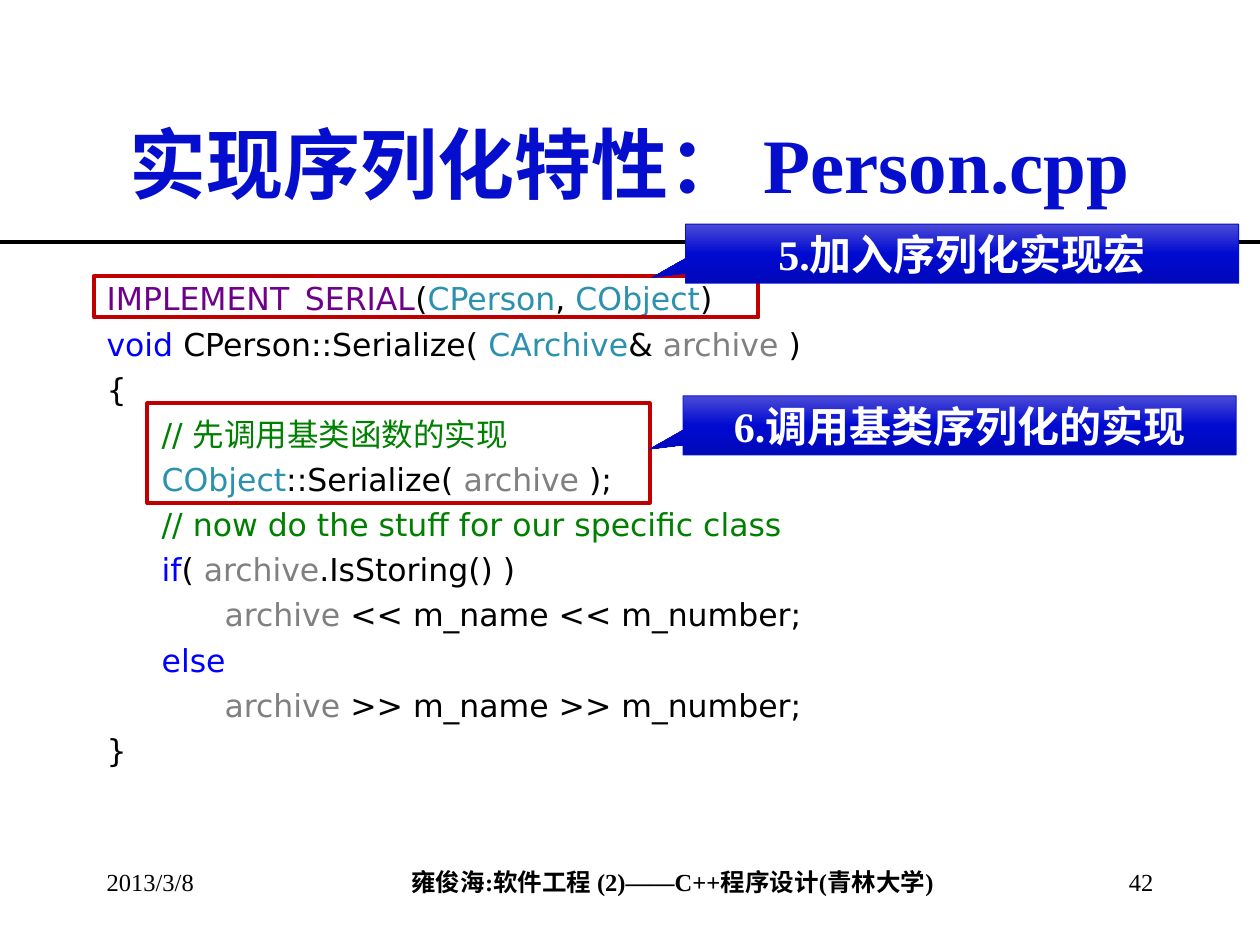
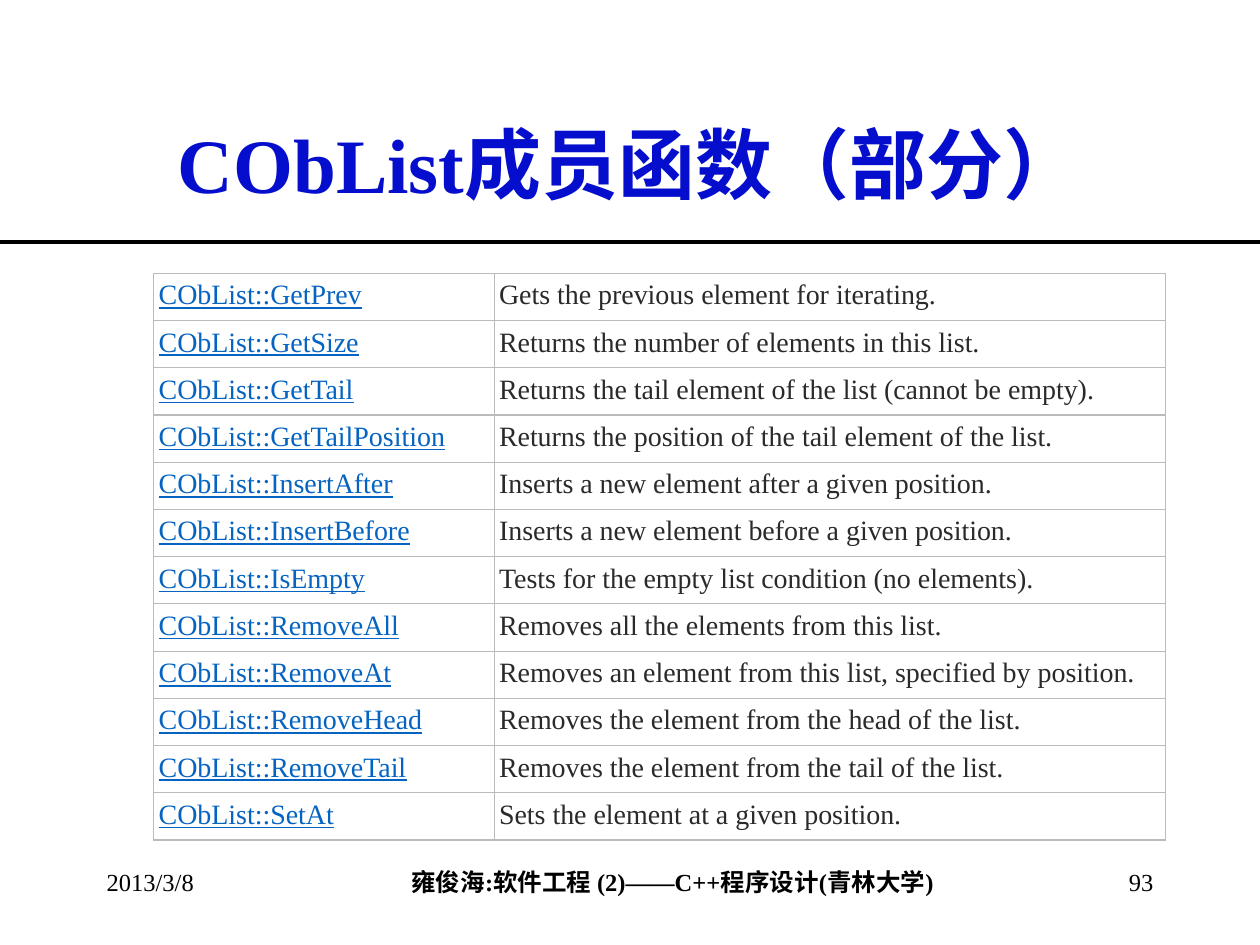
from dataclasses import dataclass
from typing import NamedTuple

from pptx import Presentation
from pptx.dml.color import RGBColor
from pptx.enum.shapes import MSO_CONNECTOR, MSO_SHAPE as Preset
from pptx.enum.text import MSO_ANCHOR as Anchor, PP_ALIGN as Align
from pptx.oxml import parse_xml
from pptx.oxml.ns import nsdecls, qn
from pptx.util import Cm, Pt

# Shared style
SERIF, CODE_FONT = "Times New Roman", "DejaVu Sans"
BLACK, WHITE, TITLE_BLUE = "000000", "FFFFFF", "040ECC"
FRAME_RED, BORDER_GREY = "C00000", "BBBBBB"
LINK_BLUE, TABLE_TEXT = "0563C1", "2A2A2A"
MACRO, TYPE, KEYWORD, PARAM, COMMENT = "6F008A", "2B91AF", "0000FF", "808080", "008000"
CALLOUT_STOPS = ((0, "4B4BD6"), (50, "000AD0"), (100, "0009B9"))
SLIDE_WIDTH = 25.4
MARGIN, CONTENT_WIDTH = 1.9, 21.59
RULE_TOP, FOOTER_TOP = 4.87, 17.36
CODE_INDENT = 1.11
COURSE = "雍俊海:软件工程 (2)——C++程序设计(青林大学)"
DATE = "2013/3/8"


class Box(NamedTuple):
    """Left, top, width and height in centimetres."""
    left: float
    top: float
    width: float
    height: float

    def lengths(self) -> list[Cm]:
        return [Cm(value) for value in self]


class Token(NamedTuple):
    text: str
    color: str = BLACK


@dataclass
class CodeLine:
    tokens: list[Token]
    indented: bool = True


@dataclass
class Callout:
    text: str
    box: Box


@dataclass
class Member:
    function: str
    purpose: str


ARCHIVE = Token("archive", PARAM)
TABBED_ARCHIVE = Token("\tarchive", PARAM)
OBJECT = Token("CObject", TYPE)

SERIALIZE_CODE = [
    CodeLine([Token("IMPLEMENT_SERIAL", MACRO), Token("("), Token("CPerson", TYPE),
              Token(", "), OBJECT, Token(")")], False),
    CodeLine([Token("void", KEYWORD), Token(" CPerson::Serialize( "),
              Token("CArchive", TYPE), Token("& "), ARCHIVE, Token(" )")], False),
    CodeLine([Token("{")], False),
    CodeLine([Token("// 先调用基类函数的实现", COMMENT)]),
    CodeLine([OBJECT, Token("::Serialize( "), ARCHIVE, Token(" );")]),
    CodeLine([Token("// now do the stuff for our specific class", COMMENT)]),
    CodeLine([Token("if", KEYWORD), Token("( "), ARCHIVE, Token(".IsStoring() )")]),
    CodeLine([TABBED_ARCHIVE, Token(" << m_name << m_number;")]),
    CodeLine([Token("else", KEYWORD)]),
    CodeLine([TABBED_ARCHIVE, Token(" >> m_name >> m_number;")]),
    CodeLine([Token("}")], False),
]

HIGHLIGHTS = [Box(1.9, 5.56, 13.39, 0.84), Box(2.97, 8.13, 10.13, 2.01)]

CALLOUTS = [
    Callout("5.加入序列化实现宏", Box(13.82, 4.52, 11.15, 1.19)),
    Callout("6.调用基类序列化的实现", Box(13.77, 7.98, 11.15, 1.19)),
]

MEMBERS = [
    Member("GetPrev", "Gets the previous element for iterating."),
    Member("GetSize", "Returns the number of elements in this list."),
    Member("GetTail", "Returns the tail element of the list (cannot be empty)."),
    Member("GetTailPosition", "Returns the position of the tail element of the list."),
    Member("InsertAfter", "Inserts a new element after a given position."),
    Member("InsertBefore", "Inserts a new element before a given position."),
    Member("IsEmpty", "Tests for the empty list condition (no elements)."),
    Member("RemoveAll", "Removes all the elements from this list."),
    Member("RemoveAt", "Removes an element from this list, specified by position."),
    Member("RemoveHead", "Removes the element from the head of the list."),
    Member("RemoveTail", "Removes the element from the tail of the list."),
    Member("SetAt", "Sets the element at a given position."),
]


def rgb(color: str) -> RGBColor:
    return RGBColor.from_string(color)


def style(font, size: float, color: str, bold: bool = False, name: str = SERIF) -> None:
    font.name, font.size, font.bold = name, Pt(size), bold
    font.color.rgb = rgb(color)


def add_text(slide, box: Box, text: str, size: float, color: str = BLACK,
             bold: bool = False, align=Align.LEFT, anchor=Anchor.TOP):
    frame = slide.shapes.add_textbox(*box.lengths()).text_frame
    frame.word_wrap = True
    frame.vertical_anchor = anchor
    line = frame.paragraphs[0]
    line.text, line.alignment = text, align
    style(line.font, size, color, bold)
    return frame


def add_base(deck, title: str, number: int):
    """Blank slide with title, rule and footer."""
    slide = deck.slides.add_slide(deck.slide_layouts[6])
    course = add_text(slide, Box(5.21, FOOTER_TOP, 16.69, 0.84), COURSE, 14,
                      bold=True, align=Align.CENTER)
    course.margin_left = course.margin_right = 0
    rule = slide.shapes.add_connector(MSO_CONNECTOR.STRAIGHT, 0, Cm(RULE_TOP),
                                      Cm(SLIDE_WIDTH), Cm(RULE_TOP))
    rule.line.color.rgb, rule.line.width = rgb(BLACK), Pt(2.25)
    rule.element.spPr.append(parse_xml(f"<a:effectLst {nsdecls('a')}/>"))
    add_text(slide, Box(MARGIN, 1.69, CONTENT_WIDTH, 3.18), title, 44, TITLE_BLUE,
             True, Align.CENTER, Anchor.MIDDLE)
    add_text(slide, Box(MARGIN, FOOTER_TOP, 5.29, 1.27), DATE, 14)
    add_text(slide, Box(18.21, FOOTER_TOP, 5.29, 1.27), str(number), 14,
             align=Align.RIGHT)
    return slide


def add_code(slide, box: Box, code: list[CodeLine]) -> None:
    frame = slide.shapes.add_textbox(*box.lengths()).text_frame
    frame.word_wrap = True
    for index, code_line in enumerate(code):
        line = frame.add_paragraph() if index else frame.paragraphs[0]
        line.space_before = Pt(4.2 if index else 0)
        if code_line.indented:
            line._p.get_or_add_pPr().set("marL", str(Cm(CODE_INDENT)))
        for token in code_line.tokens:
            run = line.add_run()
            run.text = token.text
            style(run.font, 18, token.color, name=CODE_FONT)


def add_outlined(slide, preset, box: Box, color: str, width: float):
    shape = slide.shapes.add_shape(preset, *box.lengths())
    shape.shadow.inherit = False
    shape.line.color.rgb, shape.line.width = rgb(color), Pt(width)
    return shape


def add_highlight(slide, box: Box) -> None:
    add_outlined(slide, Preset.RECTANGLE, box, FRAME_RED, 2.25).fill.background()


def add_callout(slide, callout: Callout) -> None:
    shape = add_outlined(slide, Preset.RECTANGULAR_CALLOUT, callout.box, TITLE_BLUE, 0.5)
    shape.adjustments[0], shape.adjustments[1] = -0.56, 0.402
    # Three-stop gradient running downwards
    stops = "".join(f'<a:gs pos="{place * 1000}"><a:srgbClr val="{color}"/></a:gs>'
                    for place, color in CALLOUT_STOPS)
    shape.element.spPr.find(qn("a:prstGeom")).addnext(parse_xml(
        f'<a:gradFill {nsdecls("a")} rotWithShape="1"><a:gsLst>{stops}</a:gsLst>'
        '<a:lin ang="5400000" scaled="0"/></a:gradFill>'))
    frame = shape.text_frame
    frame.word_wrap, frame.vertical_anchor = True, Anchor.MIDDLE
    line = frame.paragraphs[0]
    line.text, line.alignment = callout.text, Align.CENTER
    style(line.font, 24, WHITE, True)


def fill_cell(cell, text: str, color: str, underline: bool) -> None:
    cell.margin_left = cell.margin_right = Cm(0.1)
    cell.margin_top = cell.margin_bottom = Cm(0.13)
    cell.fill.background()
    line = cell.text_frame.paragraphs[0]
    line.text = text
    style(line.font, 16, color)
    line.font.underline = underline
    # Borders come before the fill
    for index, side in enumerate("LRTB"):
        cell._tc.get_or_add_tcPr().insert(index, parse_xml(
            f'<a:ln{side} {nsdecls("a")} w="{Pt(0.75)}"><a:solidFill>'
            f'<a:srgbClr val="{BORDER_GREY}"/></a:solidFill></a:ln{side}>'))


def add_members(slide, box: Box, members: list[Member]) -> None:
    table = slide.shapes.add_table(len(members), 2, *box.lengths()).table
    table.first_row = table.horz_banding = False
    function_width = 6.86
    table.columns[0].width = Cm(function_width)
    table.columns[1].width = Cm(box.width - function_width)
    for row, member in zip(table.rows, members):
        fill_cell(row.cells[0], f"CObList::{member.function}", LINK_BLUE, True)
        fill_cell(row.cells[1], member.purpose, TABLE_TEXT, False)


def main() -> None:
    deck = Presentation()
    deck.slide_width, deck.slide_height = Cm(SLIDE_WIDTH), Cm(19.05)

    # Serialization code with callouts
    person = add_base(deck, "实现序列化特性： Person.cpp", 42)
    add_code(person, Box(MARGIN, 5.51, CONTENT_WIDTH, 11.43), SERIALIZE_CODE)
    for highlight in HIGHLIGHTS:
        add_highlight(person, highlight)
    for callout in CALLOUTS:
        add_callout(person, callout)

    # Member function table
    members = add_base(deck, "CObList成员函数（部分）", 93)
    add_members(members, Box(3.1, 5.51, 20.4, 11.43), MEMBERS)

    deck.save("out.pptx")


if __name__ == "__main__":
    main()
